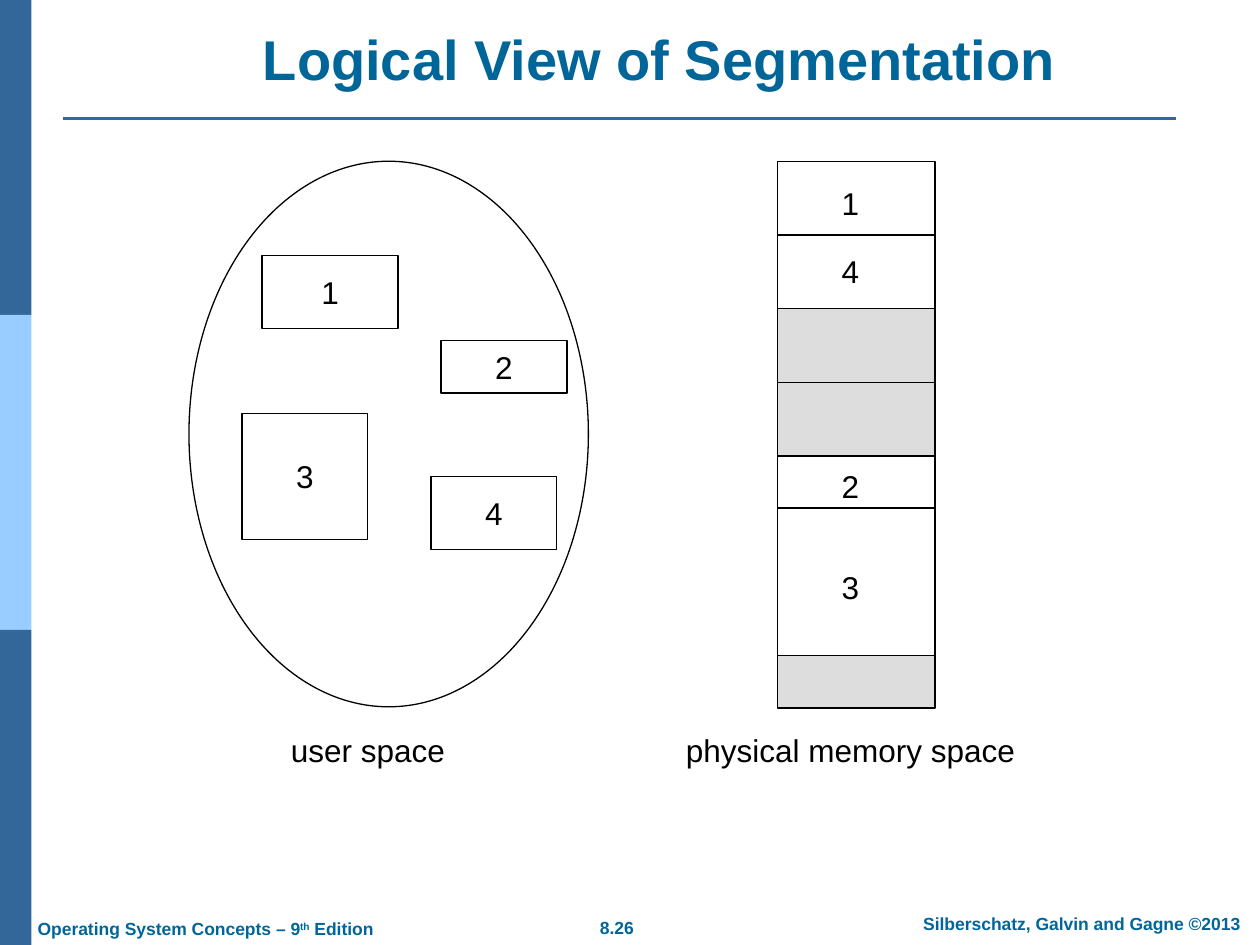
import lxml.etree
import pptx
import pptx.util
import pptx.dml.color
import pptx.enum.shapes
import pptx.enum.text
import pptx.oxml.ns

Inches = pptx.util.Inches
SHAPE = pptx.enum.shapes.MSO_SHAPE
ALIGN = pptx.enum.text.PP_ALIGN
ANCHOR = pptx.enum.text.MSO_ANCHOR
DARK, LIGHT, TEAL = "336699", "99CCFF", "006699"
BLACK, WHITE, FREE = "000000", "FFFFFF", "DDDDDD"


def paint(part, fill=None, line=None, width=0.75):
    """Set fill and outline from hex strings and drop the theme shadow."""
    if line:
        part.line.color.rgb = pptx.dml.color.RGBColor.from_string(line)
        part.line.width = pptx.util.Pt(width)
    else:
        part.line.fill.background()
    if fill:
        part.shadow.inherit = False
        part.fill.solid()
        part.fill.fore_color.rgb = pptx.dml.color.RGBColor.from_string(fill)
    else:
        lxml.etree.SubElement(part._element.spPr, pptx.oxml.ns.qn("a:effectLst"))


def write(part, text, size=18, color=BLACK, bold=False, align=ALIGN.CENTER,
          anchor=ANCHOR.MIDDLE, wrap=False, raised=None):
    """Put text in a shape; the word given as raised becomes superscript."""
    frame = part.text_frame
    frame.word_wrap, frame.vertical_anchor = wrap, anchor
    frame.auto_size = pptx.enum.text.MSO_AUTO_SIZE.NONE
    paragraph = frame.paragraphs[0]
    paragraph.alignment = align
    before, mark, after = text.partition(raised) if raised else (text, "", "")
    for piece in filter(None, (before, mark, after)):
        run = paragraph.add_run()
        run.text = piece
        run.font.name, run.font.size, run.font.bold = "Arial", pptx.util.Pt(size), bold
        run.font.color.rgb = pptx.dml.color.RGBColor.from_string(color)
        if piece == raised:
            run.font._element.set("baseline", "30000")


deck = pptx.Presentation()
deck.slide_width, deck.slide_height = Inches(10), Inches(7.5)
slide = deck.slides.add_slide(deck.slide_layouts[5])
shapes = slide.shapes

# Side band in three equal parts, and the rule under the title
band = deck.slide_height // 3
for row, color in enumerate((DARK, LIGHT, DARK)):
    stripe = shapes.add_shape(SHAPE.RECTANGLE, 0, row * band, Inches(0.25), band)
    paint(stripe, color)
title_rule = shapes.add_connector(pptx.enum.shapes.MSO_CONNECTOR.STRAIGHT,
                                  Inches(0.5), Inches(0.94), Inches(9.33), Inches(0.94))
paint(title_rule, line=DARK, width=1.5)

# Title
title = shapes.title
title.left, title.top, title.width, title.height = map(Inches, (0.97, 0.15, 8.53, 0.63))
write(title, "Logical View of Segmentation", size=32, color=TEAL, bold=True,
      anchor=ANCHOR.BOTTOM, wrap=True)

# Footer
for text, left, top, width, align, raised in (
        ("8.26", 4.65, 7.23, 0.49, ALIGN.CENTER, None),
        ("Silberschatz, Galvin and Gagne ©2013", 7.1, 7.2, 2.97, ALIGN.CENTER, None),
        ("Operating System Concepts – 9th Edition", 0.2, 7.24, 2.89, ALIGN.LEFT, "th")):
    footer = shapes.add_textbox(*map(Inches, (left, top, width, 0.27)))
    write(footer, text, size=10, color=TEAL, bold=True, align=align,
          anchor=ANCHOR.TOP, raised=raised)

# User space: an oval holding four segments
user_space = shapes.add_shape(SHAPE.OVAL, *map(Inches, (1.5, 1.28, 3.17, 4.33)))
paint(user_space, WHITE, BLACK)
for number, left, top, width, height in (
        ("1", 2.08, 2.03, 1.08, 0.58), ("3", 1.92, 3.28, 1, 1),
        ("2", 3.5, 2.7, 1, 0.42), ("4", 3.42, 3.78, 1, 0.58)):
    segment = shapes.add_shape(SHAPE.RECTANGLE, *map(Inches, (left, top, width, height)))
    paint(segment, WHITE, BLACK)
    write(segment, number)

# Physical memory: stacked blocks, most split by a divider (share of block height)
memory = shapes.add_group_shape().shapes
column_left, column_width, block_top = 6.17, 1.25, 1.28
for height, fill, split in ((1.17, WHITE, 0.5), (1.17, FREE, 0.5),
                            (1.58, WHITE, 0.26), (0.42, FREE, None)):
    block = memory.add_shape(SHAPE.RECTANGLE,
                             *map(Inches, (column_left, block_top, column_width, height)))
    paint(block, fill, BLACK)
    if split:
        level = Inches(block_top + split * height)
        divider = memory.add_connector(pptx.enum.shapes.MSO_CONNECTOR.STRAIGHT,
                                       block.left, level, block.left + block.width, level)
        paint(divider, line=BLACK)
        if split == 0.5:
            divider.begin_connect(block, 1)
            divider.end_connect(block, 3)
    block_top += height
for number, top in (("1", 1.41), ("4", 1.95), ("2", 3.66), ("3", 4.46)):
    write(memory.add_textbox(*map(Inches, (6.58, top, 0.34, 0.4))), number)

# Captions
for caption, left, width in (("user space ", 2.2, 1.51),
                             ("physical memory space", 5.33, 2.84)):
    write(shapes.add_textbox(*map(Inches, (left, 5.75, width, 0.4))), caption)

deck.save("out.pptx")
